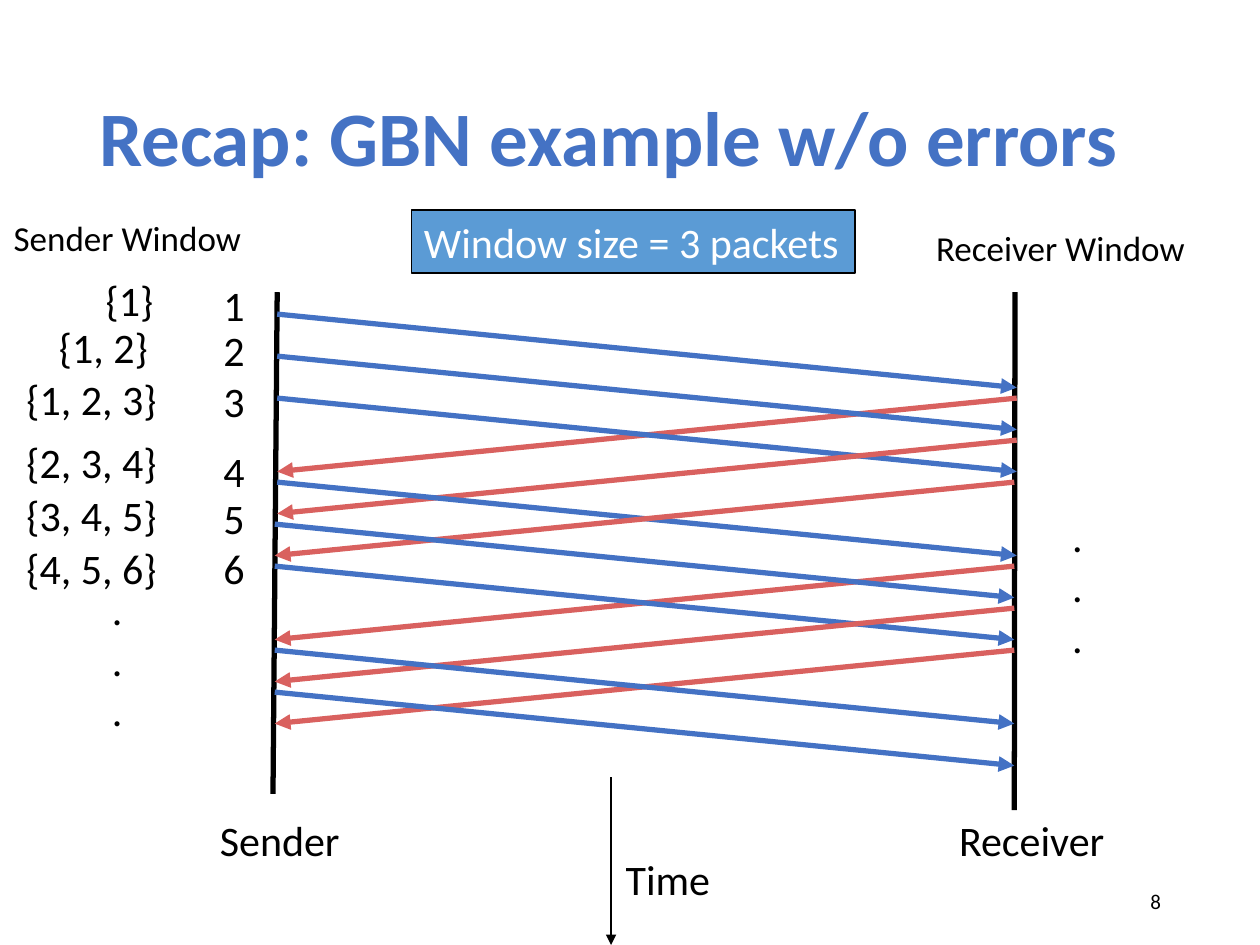
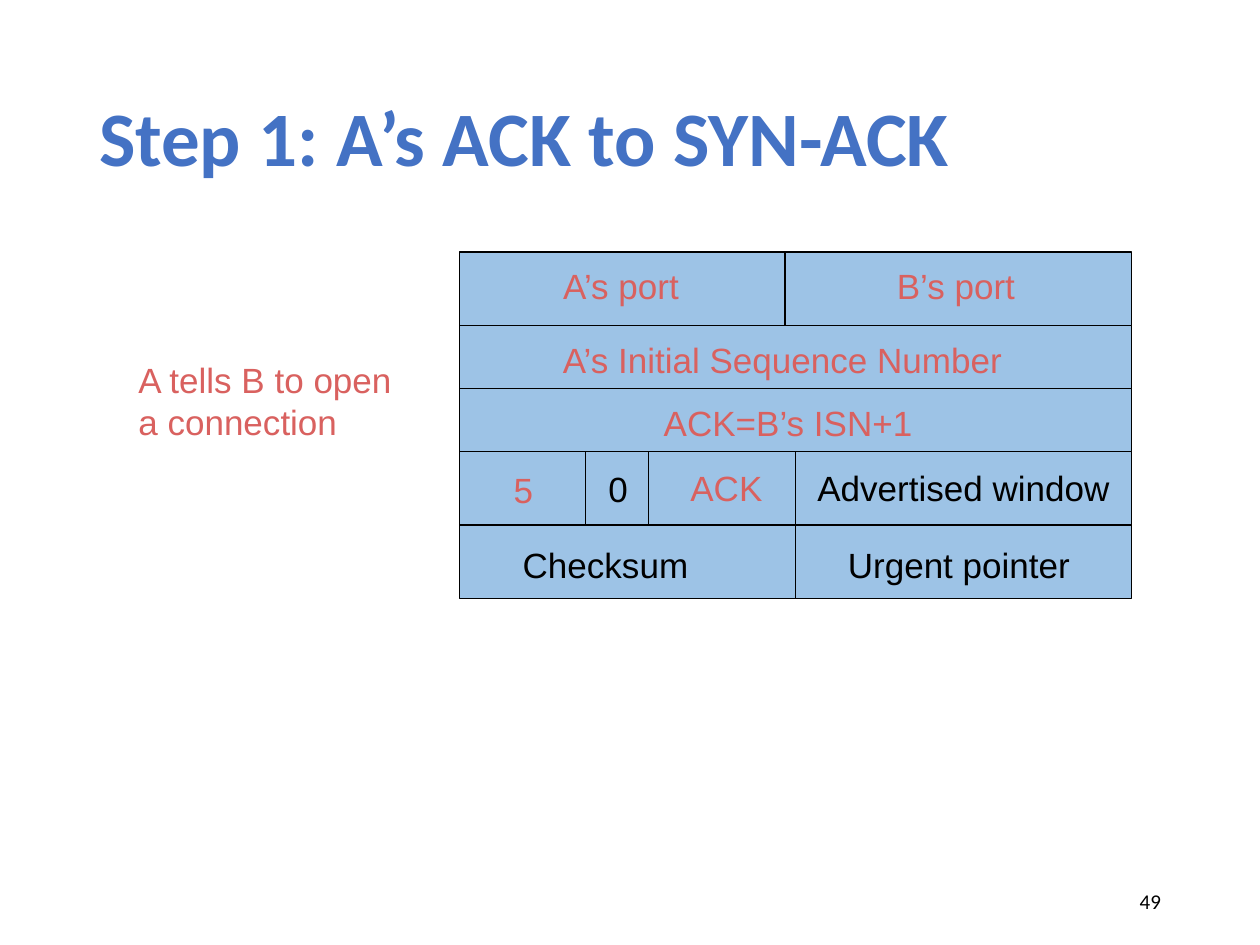
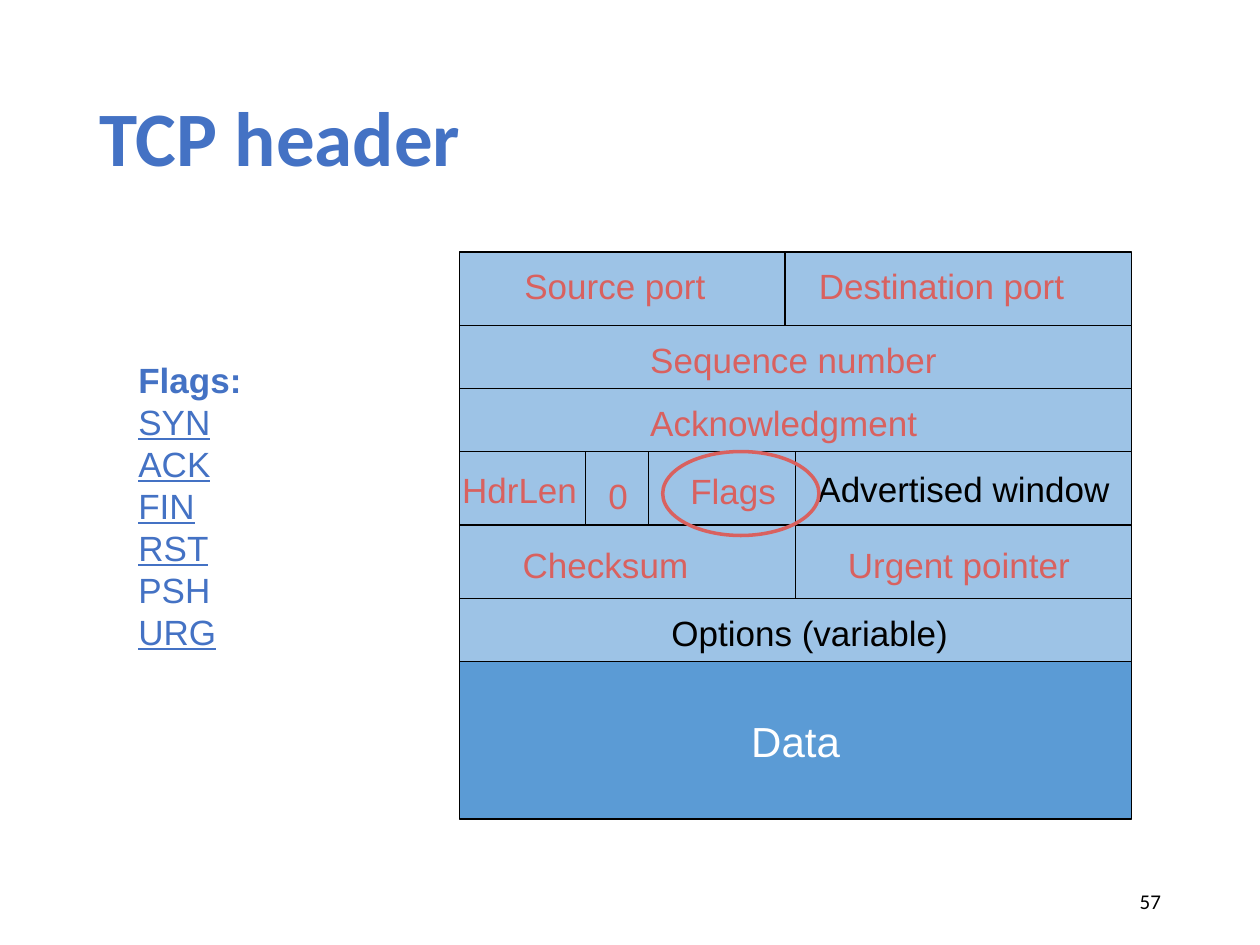
from dataclasses import dataclass, replace
from itertools import accumulate

from lxml import etree
from pptx import Presentation
from pptx.dml.color import RGBColor
from pptx.enum.shapes import MSO_CONNECTOR, MSO_SHAPE
from pptx.enum.text import MSO_ANCHOR, MSO_AUTO_SIZE, PP_ALIGN
from pptx.oxml.ns import qn
from pptx.util import Pt

# Enum members
RECTANGLE, ELLIPSE = MSO_SHAPE.RECTANGLE, MSO_SHAPE.OVAL
STRAIGHT = MSO_CONNECTOR.STRAIGHT
TOP, MIDDLE = MSO_ANCHOR.TOP, MSO_ANCHOR.MIDDLE
LEFT, CENTER, RIGHT = PP_ALIGN.LEFT, PP_ALIGN.CENTER, PP_ALIGN.RIGHT
GROW, NO_FIT = MSO_AUTO_SIZE.SHAPE_TO_FIT_TEXT, MSO_AUTO_SIZE.NONE

# Colours
BLACK = RGBColor(0x00, 0x00, 0x00)
WHITE = RGBColor(0xFF, 0xFF, 0xFF)
BLUE = RGBColor(0x44, 0x72, 0xC4)
RED = RGBColor(0xD9, 0x61, 0x5F)
MID_BLUE = RGBColor(0x5B, 0x9B, 0xD5)
LIGHT_BLUE = RGBColor(0x9D, 0xC3, 0xE6)

TITLE_ONLY_LAYOUT = 5


@dataclass(frozen=True)
class TextStyle:
    font: str = "Calibri"
    size: float = 24
    color: RGBColor = BLACK
    bold: bool = False
    underline: bool = False
    align: PP_ALIGN = LEFT
    anchor: MSO_ANCHOR = TOP
    wrap: bool = False
    fit: MSO_AUTO_SIZE = GROW


TITLE = TextStyle(size=44, color=BLUE, bold=True, anchor=MIDDLE, wrap=True, fit=NO_FIT)
PAGE_NUMBER = TextStyle(size=12, align=RIGHT, anchor=MIDDLE, wrap=True, fit=NO_FIT)
DIAGRAM = TextStyle()
CAPTION = TextStyle(align=CENTER, anchor=MIDDLE)
WINDOW_HEADING = TextStyle(size=20)
FIELD = TextStyle(font="Arial", size=20, wrap=True)
CHANGED_FIELD = replace(FIELD, color=RED)
FLAG = replace(FIELD, color=BLUE)
FLAG_HEADING = replace(FLAG, bold=True)
USED_FLAG = replace(FLAG, underline=True)
DATA = replace(FIELD, size=24, color=WHITE, align=CENTER, anchor=MIDDLE, fit=NO_FIT)

# Sequence diagram: messages leave on a grid of equal time slots
SENDER_X, RECEIVER_X = 158.4, 581
FIRST_SLOT_Y, SLOT_HEIGHT, TRAVEL_DROP = 179.5, 24, 42
LATE_SHIFT = 1.4
PACKET, ACK = "packet", "ack"
LATE_FROM = {PACKET: 5, ACK: 4}
MESSAGES = [
    (PACKET, 0), (ACK, 2), (PACKET, 1), (PACKET, 2), (ACK, 3), (PACKET, 4), (ACK, 4),
    (ACK, 6), (PACKET, 5), (PACKET, 6), (ACK, 7), (ACK, 8), (PACKET, 8), (PACKET, 9),
]

# Packet number top, window text, window left, top and width
SENDER_WINDOWS = [
    (156, "{1}", 53.3, 153.4, 44),
    (182, "{1, 2}", 26.6, 180, 73.4),
    (210.8, "{1, 2, 3}", 8, 210.2, 101),
    (251.3, "{2, 3, 4}", 8, 246.2, 101),
    (277.8, "{3, 4, 5}", 8, 276, 101),
    (306.7, "{4, 5, 6}", 8, 306.2, 101),
]

# Header grid: row heights and the widths of the cells in each row
GRID_LEFT, GRID_TOP, GRID_WIDTH = 262.6, 144, 384
ROW_HEIGHTS = [42, 36, 36, 42, 42, 36, 90]
ROW_TOPS = list(accumulate(ROW_HEIGHTS, initial=GRID_TOP))
HALVES = [192, 192]
ROW_CELLS = [[186, 198], [GRID_WIDTH], [GRID_WIDTH], HALVES, HALVES, [GRID_WIDTH]]
FLAG_ROW = 3
FLAG_DIVIDERS = [334.6, 370.6]

# Field text, left, row, offset in the row, width, style
SYN_ACK_FIELDS = [
    ("A’s port", 314.8, 0, 3.6, 81.4, CHANGED_FIELD),
    ("B’s port", 505.4, 0, 3.6, 82.8, CHANGED_FIELD),
    ("A’s Initial Sequence Number", 314.6, 1, 3.8, 267.8, CHANGED_FIELD),
    ("ACK=B’s ISN+1", 372.2, 2, 3.8, 156.2, CHANGED_FIELD),
    ("Advertised window", 460, 3, 5.3, 183, FIELD),
    ("ACK", 387.4, 3, 5.3, 56.2, CHANGED_FIELD),
    ("0", 340.6, 3, 5.5, 26, FIELD),
    ("Checksum", 291.6, 4, 7, 108.7, FIELD),
    ("Urgent pointer", 477.4, 4, 7, 141, FIELD),
]
TCP_FIELDS = [
    ("Source port", 292.5, 0, 3.6, 118, CHANGED_FIELD),
    ("Destination port", 460.8, 0, 3.6, 154.8, CHANGED_FIELD),
    ("Sequence number", 364.5, 1, 3.8, 177.8, CHANGED_FIELD),
    ("Acknowledgment", 364.5, 2, 3.8, 168.5, CHANGED_FIELD),
    ("Advertised window", 460, 3, 5.5, 181.5, FIELD),
    ("Flags", 387.4, 3, 7, 64, CHANGED_FIELD),
    ("0", 340.6, 3, 9.8, 26, CHANGED_FIELD),
    ("Checksum", 291.6, 4, 7, 108.7, CHANGED_FIELD),
    ("Urgent pointer", 477.4, 4, 7, 141, CHANGED_FIELD),
    ("Options (variable)", 376.6, 5, 3.8, 172, FIELD),
]


def to_points(box):
    return [Pt(value) for value in box]


def write_text(shape, style, lines):
    """Each line is a text, or a pair of a text and its own style."""
    frame = shape.text_frame
    frame.word_wrap = style.wrap
    frame.auto_size = style.fit
    frame.vertical_anchor = style.anchor
    for index, line in enumerate(lines):
        text, line_style = (line, style) if isinstance(line, str) else line
        paragraph = frame.add_paragraph() if index else frame.paragraphs[0]
        paragraph.alignment = line_style.align
        run = paragraph.add_run()
        run.text = text
        run.font.name = line_style.font
        run.font.size = Pt(line_style.size)
        run.font.bold = line_style.bold
        run.font.underline = line_style.underline
        run.font.color.rgb = line_style.color


def add_text(slide, box, style, *lines):
    write_text(slide.shapes.add_textbox(*to_points(box)), style, lines)


def add_box(slide, box, fill=None, line=None, line_width=0.75, kind=RECTANGLE):
    shape = slide.shapes.add_shape(kind, *to_points(box))
    shape.shadow.inherit = False
    if fill is None:
        shape.fill.background()
    else:
        shape.fill.solid()
        shape.fill.fore_color.rgb = fill
    if line is None:
        shape.line.fill.background()
    else:
        shape.line.color.rgb = line
        shape.line.width = Pt(line_width)
    return shape


def add_field(slide, box, style, text):
    """A field name on one line: no right margin, so that it has room."""
    label = add_box(slide, box, LIGHT_BLUE)
    write_text(label, style, [text])
    label.text_frame.margin_right = Pt(0)


def add_line(slide, start, end, color=BLACK, width=0.75, arrow=False):
    connector = slide.shapes.add_connector(STRAIGHT, *to_points(start + end))
    connector.line.color.rgb = color
    connector.line.width = Pt(width)
    properties = connector._element.spPr
    if arrow:
        etree.SubElement(properties.find(qn("a:ln")), qn("a:tailEnd"), type="triangle")
    etree.SubElement(properties, qn("a:effectLst"))


def add_titled_slide(presentation, title, number):
    slide = presentation.slides.add_slide(presentation.slide_layouts[TITLE_ONLY_LAYOUT])
    shape = slide.shapes.title
    shape.left, shape.top, shape.width, shape.height = to_points((49.5, 28.8, 621, 104.4))
    write_text(shape, TITLE, [title])
    shape.text_frame.paragraphs[0].line_spacing = 0.9
    add_text(slide, (508.5, 500.5, 162, 28.8), PAGE_NUMBER, str(number))
    return slide


def add_message(slide, kind, slot):
    shift = LATE_SHIFT if slot >= LATE_FROM[kind] else 0
    start_y = FIRST_SLOT_Y + slot * SLOT_HEIGHT
    sender, receiver = SENDER_X - shift, RECEIVER_X - shift
    if kind == PACKET:
        start_x, end_x, color = sender, receiver, BLUE
    else:
        start_x, end_x, color = receiver, sender, RED
    add_line(slide, (start_x, start_y), (end_x, start_y + TRAVEL_DROP), color, 3, arrow=True)


def add_header_grid(slide, row_count, first_flag_field, fields):
    # Cells
    for row in range(row_count):
        left = GRID_LEFT
        for width in ROW_CELLS[row]:
            add_box(slide, (left, ROW_TOPS[row], width, ROW_HEIGHTS[row]), LIGHT_BLUE, BLACK)
            left += width
    for x in FLAG_DIVIDERS:
        add_line(slide, (x, ROW_TOPS[FLAG_ROW]), (x, ROW_TOPS[FLAG_ROW + 1]))

    # Field names
    add_text(slide, (257, ROW_TOPS[FLAG_ROW] + 6, 84.2, 31), *first_flag_field)
    for text, left, row, offset, width, style in fields:
        add_field(slide, (left, ROW_TOPS[row] + offset, width, 31), style, text)


def build_window_slide(presentation):
    slide = add_titled_slide(presentation, "Recap: GBN example w/o errors", 8)
    banner = add_box(slide, (235.2, 120, 253.4, 36), MID_BLUE, BLACK)
    write_text(banner, replace(DIAGRAM, color=WHITE), ["Window size = 3 packets"])

    # Time axis and the two ends
    add_line(slide, (349.2, 444.2), (349.2, 540), width=1, arrow=True)
    add_line(slide, (158.4, 167), (156, 453.6), width=3)
    add_line(slide, (580, 167), (579.6, 463), width=3)
    add_text(slide, (347.8, 484, 67.7, 36), CAPTION, "Time")
    add_text(slide, (113.4, 461.8, 92.9, 36), CAPTION, "Sender")
    add_text(slide, (534.5, 461.8, 110.2, 36), CAPTION, "Receiver")

    for kind, slot in MESSAGES:
        add_message(slide, kind, slot)

    # Windows
    add_text(slide, (0.7, 120.2, 164.2, 31), WINDOW_HEADING, "Sender Window")
    add_text(slide, (527.8, 126, 180, 31), WINDOW_HEADING, "Receiver Window")
    for number, (number_top, window, left, top, width) in enumerate(SENDER_WINDOWS, 1):
        add_text(slide, (120.6, number_top, 26.6, 35.3), DIAGRAM, str(number))
        add_text(slide, (left, top, width, 36), DIAGRAM, window)
    for left, top in [(56.9, 330), (605.5, 288)]:
        add_text(slide, (left, top, 20.9, 94.3), DIAGRAM, ".", ".", ".")


def build_syn_ack_slide(presentation):
    slide = add_titled_slide(presentation, "Step 1: A’s ACK to SYN-ACK", 49)
    add_header_grid(slide, 5, (replace(CHANGED_FIELD, align=CENTER), "5"), SYN_ACK_FIELDS)
    add_text(slide, (72, 201.2, 167.8, 55.4), CHANGED_FIELD, "A tells B to open a connection")


def build_tcp_header_slide(presentation):
    slide = add_titled_slide(presentation, "TCP header", 57)
    add_header_grid(slide, 6, (CHANGED_FIELD, "HdrLen"), TCP_FIELDS)
    data = add_box(slide, (GRID_LEFT, ROW_TOPS[6], GRID_WIDTH, ROW_HEIGHTS[6]), MID_BLUE, BLACK)
    write_text(data, DATA, ["Data"])

    # Flags
    add_box(slide, (378.7, 258, 89.3, 48), line=RED, line_width=2, kind=ELLIPSE)
    add_text(
        slide, (72, 201.2, 167.8, 200.9), FLAG,
        ("Flags:", FLAG_HEADING), ("SYN", USED_FLAG), ("ACK", USED_FLAG),
        ("FIN", USED_FLAG), ("RST", USED_FLAG), "PSH", ("URG", USED_FLAG),
    )


def main():
    presentation = Presentation()
    presentation.slide_width, presentation.slide_height = Pt(720), Pt(540)
    build_window_slide(presentation)
    build_syn_ack_slide(presentation)
    build_tcp_header_slide(presentation)
    presentation.save("out.pptx")


if __name__ == "__main__":
    main()
